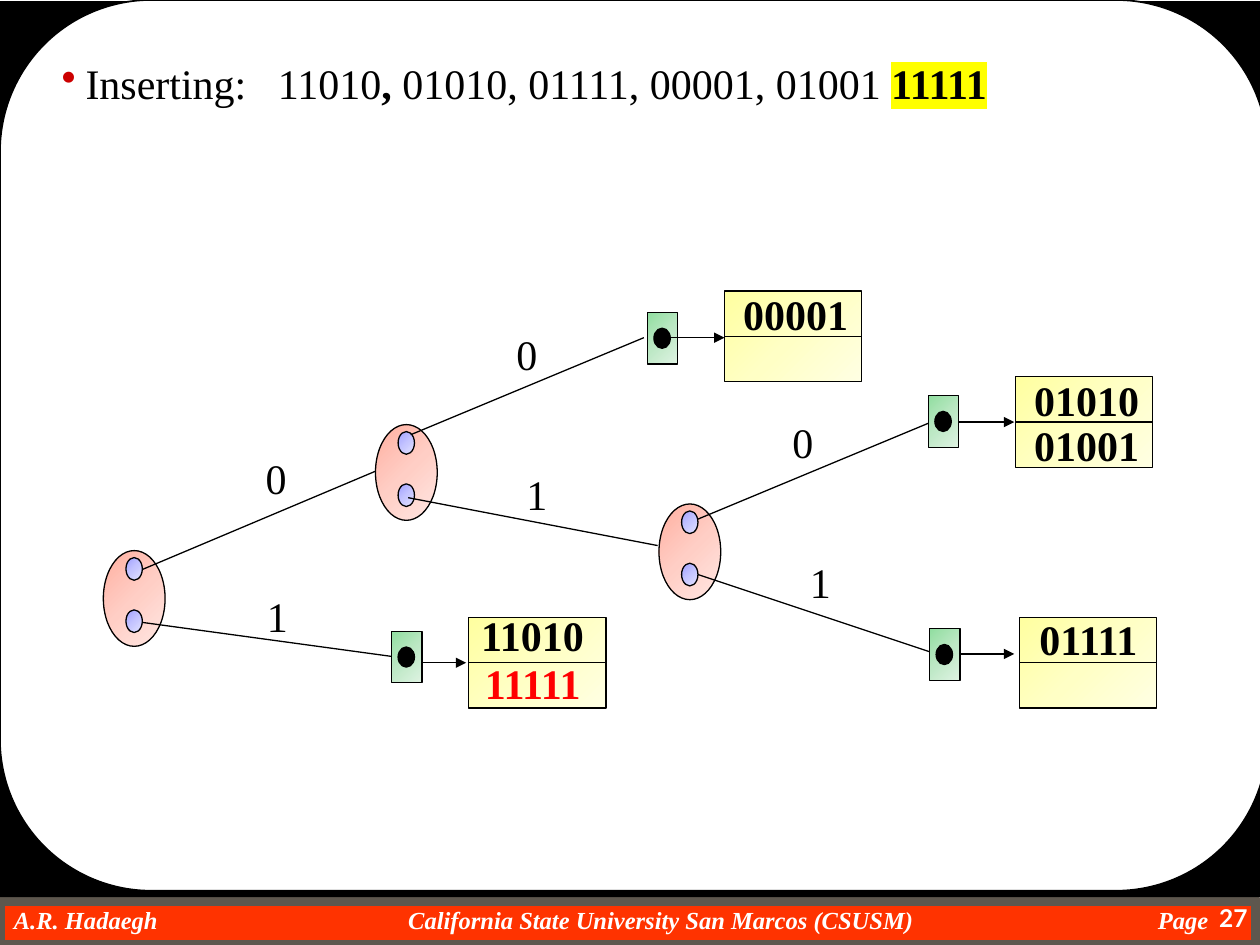
from lxml.etree import SubElement
from pptx import Presentation
from pptx.dml.color import RGBColor
from pptx.enum.shapes import MSO_CONNECTOR, MSO_SHAPE
from pptx.enum.text import MSO_AUTO_SIZE, PP_ALIGN
from pptx.oxml import parse_xml
from pptx.oxml.ns import nsdecls, qn
from pptx.util import Inches, Pt

COLUMNS, ROWS = 100, 75
CELL = Inches(0.1)
BLACK, WHITE, RED = "000000", "FFFFFF", "FF0000"
PINK = ("FFAFA0", "FFCEC5", "FFE7E3")
BLUE = ("A0A0FF", "C5C5FF", "E3E3FF")
GREEN = ("91DEA0", "BDE8C5", "DFF3E3")
YELLOW = ("FFFFA0", "FFFFC5", "FFFFE3")
BODY = {"name": "Times New Roman", "size": Pt(24), "bold": False}
STRONG = BODY | {"bold": True}
FOOTER = {"name": "Times New Roman", "size": Pt(14), "bold": True, "italic": True}
PAGE_NUMBER = {"name": "Lato", "size": Pt(14), "bold": True}

BRANCH_NODES = [(8.2, 43.7), (29.8, 33.7), (52.3, 40)]
EDGES = [
    (11.3, 45.2, 29.8, 37.4), (11.3, 49.4, 31.1, 52.1),
    (32.6, 34.5, 51.1, 26.8), (32.4, 39.5, 52.2, 43.3),
    (55.4, 41.2, 73.9, 33.5), (55.4, 45.6, 75.2, 52.2),
]
EDGE_LABELS = [
    ("0", 20.1, 35.4), ("1", 20.2, 46.4), ("0", 40, 25.6),
    ("1", 40.8, 36.7), ("0", 61.9, 32.6), ("1", 63.3, 43.7),
]
POINTERS = [(51.4, 24.8), (31.1, 50.1), (73.7, 31.4), (73.8, 49.9)]
ARROWS = [
    (53.1, 26.8, 57.5, 26.8), (33.5, 52.6, 37, 52.6),
    (76.1, 33.5, 80.5, 33.5), (76.1, 51.9, 80.5, 51.9),
]
BUCKETS = [(57.5, 23.1), (37.2, 49), (80.6, 29.9), (80.9, 49)]
KEYS = [
    ("00001", 58, 22.4, 10.4, BLACK), ("11010", 37.2, 47.9, 10.2, BLACK),
    ("11111", 37.5, 51.7, 9.7, RED), ("01010", 81.1, 29.2, 10.4, BLACK),
    ("01001", 81.1, 32.8, 10.4, BLACK), ("01111", 81.5, 48.2, 9.9, BLACK),
]


def grid(*values):
    return [round(value * CELL) for value in values]


def color(value):
    return RGBColor.from_string(value)


def apply_format(target, values):
    for name, value in values.items():
        setattr(target, name, value)


def add_outline(shape, value=BLACK, width=0.75):
    shape.line.color.rgb = color(value)
    shape.line.width = Pt(width)


def add_plain_shape(shapes, kind, box, fill):
    shape = shapes.add_shape(kind, *grid(*box))
    shape.shadow.inherit = False
    shape.fill.solid()
    shape.fill.fore_color.rgb = color(fill)
    shape.line.fill.background()
    return shape


def add_gradient_shape(shapes, kind, box, shades):
    shape = add_plain_shape(shapes, kind, box, shades[0])
    stops = "".join(
        f'<a:gs pos="{index * 50000}"><a:srgbClr val="{shade}"/></a:gs>'
        for index, shade in enumerate(shades)
    )
    gradient = parse_xml(
        f'<a:gradFill {nsdecls("a")} rotWithShape="1"><a:gsLst>{stops}</a:gsLst>'
        '<a:path path="circle"><a:fillToRect r="100000" b="100000"/></a:path></a:gradFill>'
    )
    properties = shape._element.spPr
    properties.replace(properties.find(qn("a:solidFill")), gradient)
    add_outline(shape)


def add_line(shapes, ends, arrow=False):
    connector = shapes.add_connector(MSO_CONNECTOR.STRAIGHT, *grid(*ends))
    add_outline(connector)
    if arrow:
        SubElement(connector.line._get_or_add_ln(), qn("a:tailEnd"), type="triangle")
    SubElement(connector._element.spPr, qn("a:effectLst"))


def add_run(paragraph, text, style, value=BLACK):
    run = paragraph.add_run()
    run.text = text
    apply_format(run.font, style)
    run.font.color.rgb = color(value)
    return run


def add_text(shapes, box, text, style, value=BLACK, **frame_format):
    frame = shapes.add_textbox(*grid(*box)).text_frame
    apply_format(frame, {"word_wrap": True} | frame_format)
    paragraph = frame.paragraphs[0]
    if text:
        add_run(paragraph, text, style, value)
    return paragraph


def add_label(shapes, text, left, top, width, style, value=BLACK):
    add_text(shapes, (left, top, width, 5), text, style, value,
             word_wrap=False, auto_size=MSO_AUTO_SIZE.SHAPE_TO_FIT_TEXT)


def add_background(shapes):
    bar = add_plain_shape(shapes, MSO_SHAPE.RECTANGLE, (0, 71.5, 99.7, 3.5), "FF3300")
    add_outline(bar, "5E574E", 6)
    footer = add_text(
        shapes, (0, 71.8, 96.8, 2.3),
        "A.R. Hadaegh\tCalifornia State University San Marcos (CSUSM)\tPage",
        FOOTER, WHITE, margin_left=Inches(0.11), margin_right=0, margin_top=0, margin_bottom=0,
    )
    tabs = SubElement(footer._p.get_or_add_pPr(), qn("a:tabLst"))
    for position in (31.3, 90.8):
        SubElement(tabs, qn("a:tab"), pos=str(grid(position)[0]), algn="l")
    add_plain_shape(shapes, MSO_SHAPE.RECTANGLE, (0, 0.1, COLUMNS, 71.1), BLACK)
    panel = add_plain_shape(shapes, MSO_SHAPE.ROUNDED_RECTANGLE, (0, 0, 100.6, 70.7), WHITE)
    panel.adjustments[0] = 0.17
    add_outline(panel, BLACK, 1)
    number = add_text(shapes, (92.5, 71.2, 7.5, 3.8), "27", PAGE_NUMBER, WHITE)
    number.alignment = PP_ALIGN.RIGHT


def add_insert_list(shapes):
    paragraph = add_text(shapes, (3.9, 4.1, 91.9, 5), "", BODY)
    properties = paragraph._p.get_or_add_pPr()
    indent = grid(1.9)[0]
    properties.set("marL", str(indent))
    properties.set("indent", str(-indent))
    bullet_color = SubElement(properties, qn("a:buClr"))
    SubElement(bullet_color, qn("a:srgbClr"), val="CC0000")
    SubElement(properties, qn("a:buChar"), char="•")
    add_run(paragraph, "Inserting:", BODY)
    gap = add_run(paragraph, " ", BODY)
    gap._r.get_or_add_rPr().set("spc", "1200")
    add_run(paragraph, "11010", BODY)
    add_run(paragraph, ", ", STRONG)
    add_run(paragraph, "01010, 01111, 00001, 01001 ", BODY)
    current = add_run(paragraph, "11111", STRONG)
    highlight = parse_xml(
        f'<a:highlight {nsdecls("a")}><a:srgbClr val="FFFF00"/></a:highlight>'
    )
    current._r.rPr.find(qn("a:solidFill")).addnext(highlight)


def add_branch_node(shapes, left, top):
    group = shapes.add_group_shape().shapes
    add_gradient_shape(group, MSO_SHAPE.OVAL, (left, top, 4.9, 7.6), PINK)
    for offset in (0.55, 4.7):
        add_gradient_shape(group, MSO_SHAPE.OVAL, (left + 1.8, top + offset, 1.3, 1.8), BLUE)


def add_pointer(shapes, left, top):
    group = shapes.add_group_shape().shapes
    add_gradient_shape(group, MSO_SHAPE.RECTANGLE, (left, top, 2.4, 4.1), GREEN)
    dot = add_plain_shape(group, MSO_SHAPE.OVAL, (left + 0.5, top + 1.25, 1.3, 1.6), BLACK)
    add_outline(dot)


def add_bucket(shapes, left, top):
    width, height = 10.9, 7.2
    middle = top + height / 2
    group = shapes.add_group_shape().shapes
    add_gradient_shape(group, MSO_SHAPE.RECTANGLE, (left, top, width, height), YELLOW)
    add_line(group, (left, middle, left + width, middle))


def main():
    presentation = Presentation()
    apply_format(presentation, {"slide_width": COLUMNS * CELL, "slide_height": ROWS * CELL})
    slide = presentation.slides.add_slide(presentation.slide_layouts[6])
    shapes = slide.shapes
    add_background(shapes)
    add_insert_list(shapes)
    for position in BRANCH_NODES:
        add_branch_node(shapes, *position)
    for ends in EDGES:
        add_line(shapes, ends)
    for position in POINTERS:
        add_pointer(shapes, *position)
    for position in BUCKETS:
        add_bucket(shapes, *position)
    for ends in ARROWS:
        add_line(shapes, ends, arrow=True)
    for text, left, top in EDGE_LABELS:
        add_label(shapes, text, left, top, 3.7, BODY)
    for text, left, top, width, value in KEYS:
        add_label(shapes, text, left, top, width, STRONG, value)
    presentation.save("out.pptx")


if __name__ == "__main__":
    main()
